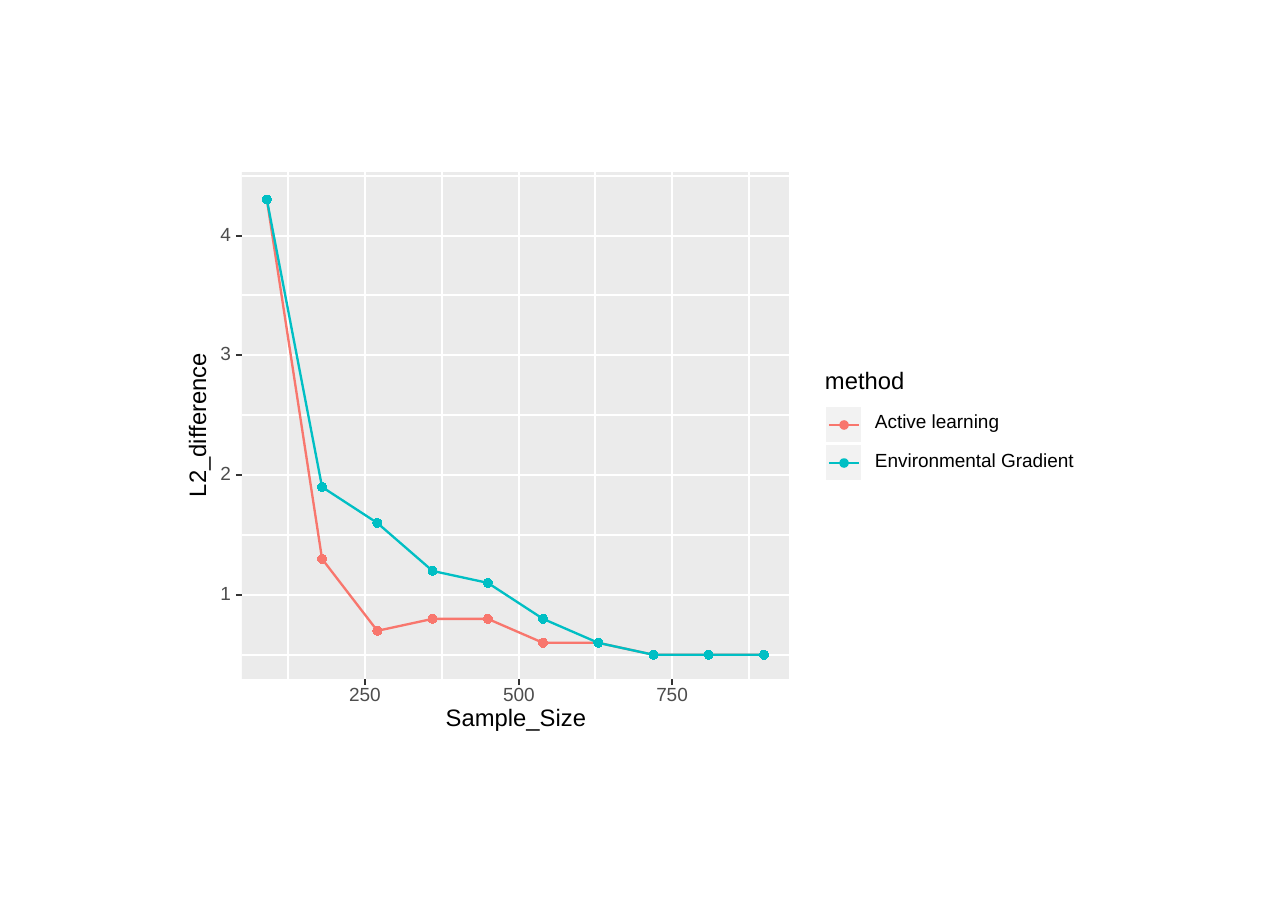
from dataclasses import dataclass

from lxml import etree
from pptx import Presentation
from pptx import util as u
from pptx.chart.data import XyChartData
from pptx.dml.color import RGBColor
from pptx.enum import chart as charts
from pptx.enum import shapes, text
from pptx.oxml import parse_xml
from pptx.oxml.ns import nsdecls, qn

EMU_PER_PX = 5873
FONT = "Arial"
TICK_SIZE, TITLE_SIZE = 8.8, 11
MINOR_WIDTH, LINE_WIDTH, DOT_LINE = 0.53, 1.07, 0.71
COLORS = {
    "panel": "EBEBEB", "grid": "FFFFFF", "tick": "333333",
    "tick_text": "4D4D4D", "text": "000000", "key": "F2F2F2",
    "active": "F8766D", "gradient": "00BFC4",
}


@dataclass
class Axis:
    low: float
    high: float
    start: int  # px position of the low end
    end: int  # px position of the high end
    major: list[int]
    minor: list[float]

    def position(self, value: float) -> int:
        share = (value - self.low) / (self.high - self.low)
        return round(self.start + share * (self.end - self.start))


@dataclass
class Method:
    name: str
    color: str
    differences: list[float]


LEFT, TOP, RIGHT, BOTTOM = 242, 172, 789, 679
X_AXIS = Axis(49.5, 940.5, LEFT, RIGHT, [250, 500, 750], [125, 375, 625, 875])
Y_AXIS = Axis(0.3, 4.53, BOTTOM, TOP, [1, 2, 3, 4], [0.5, 1.5, 2.5, 3.5, 4.5])
SAMPLE_SIZES = range(90, 901, 90)
METHODS = [
    Method("Active learning", "active",
           [4.3, 1.3, 0.7, 0.8, 0.8, 0.6, 0.6, 0.5, 0.5, 0.5]),
    Method("Environmental Gradient", "gradient",
           [4.3, 1.9, 1.6, 1.2, 1.1, 0.8, 0.6, 0.5, 0.5, 0.5]),
]


def px(length: int) -> u.Emu:
    return u.Emu(length * EMU_PER_PX)


def rgb(name: str) -> RGBColor:
    return RGBColor.from_string(COLORS[name])


def add_line(slide, x1: int, y1: int, x2: int, y2: int,
             color: str, width: float = LINE_WIDTH) -> None:
    line = slide.shapes.add_connector(
        shapes.MSO_CONNECTOR.STRAIGHT, px(x1), px(y1), px(x2), px(y2))
    line.line.color.rgb = rgb(color)
    line.line.width = u.Pt(width)
    etree.SubElement(line._element.spPr, qn("a:effectLst"))


def add_box(slide, kind, left: int, top: int, width: int, height: int,
            fill: str, line: str = "", line_width: float = LINE_WIDTH) -> None:
    shape = slide.shapes.add_shape(kind, px(left), px(top), px(width), px(height))
    shape.shadow.inherit = False
    shape.fill.solid()
    shape.fill.fore_color.rgb = rgb(fill)
    if line:
        shape.line.color.rgb = rgb(line)
        shape.line.width = u.Pt(line_width)
    else:
        shape.line.fill.background()


def add_label(slide, words: str, left: int, middle: int, width: int, size: float,
              color: str = "text", align=text.PP_ALIGN.LEFT, rotation: int = 0) -> None:
    height = 16
    box = slide.shapes.add_textbox(
        px(left), px(middle - height // 2), px(width), px(height))
    box.rotation = rotation
    frame = box.text_frame
    frame.word_wrap = True
    frame.vertical_anchor = text.MSO_ANCHOR.MIDDLE
    frame.margin_left = frame.margin_right = frame.margin_top = frame.margin_bottom = 0
    frame.text = words
    paragraph = frame.paragraphs[0]
    paragraph.alignment = align
    paragraph.line_spacing = u.Pt(size)
    font = paragraph.runs[0].font
    font.name, font.size = FONT, u.Pt(size)
    font.color.rgb = rgb(color)


def add_grid(slide) -> None:
    add_box(slide, shapes.MSO_SHAPE.RECTANGLE, LEFT, TOP,
            RIGHT - LEFT, BOTTOM - TOP, "panel")
    for level, width in (("minor", MINOR_WIDTH), ("major", LINE_WIDTH)):
        for value in getattr(Y_AXIS, level):
            y = Y_AXIS.position(value)
            add_line(slide, LEFT, y, RIGHT, y, "grid", width)
        for value in getattr(X_AXIS, level):
            x = X_AXIS.position(value)
            add_line(slide, x, BOTTOM, x, TOP, "grid", width)


def add_curves(slide) -> None:
    # The first series is drawn in front, so the gradient leads
    stacked = METHODS[::-1]
    data = XyChartData(number_format="0.0")
    for method in stacked:
        series = data.add_series(method.name)
        for size, difference in zip(SAMPLE_SIZES, method.differences):
            series.add_data_point(size, difference)
    chart = slide.shapes.add_chart(
        charts.XL_CHART_TYPE.XY_SCATTER_LINES, px(LEFT), px(TOP),
        px(RIGHT - LEFT), px(BOTTOM - TOP), data).chart
    chart.has_legend = chart.has_title = False
    chart.font.name, chart.font.size = FONT, u.Pt(TICK_SIZE)
    chart.plots[0].vary_by_categories = False

    for axis, scale in ((chart.category_axis, X_AXIS), (chart.value_axis, Y_AXIS)):
        axis.minimum_scale, axis.maximum_scale = scale.low, scale.high
        axis.has_major_gridlines = axis.has_minor_gridlines = False
        axis.visible = False

    for series, method in zip(chart.plots[0].series, stacked):
        series.smooth = False
        series.format.line.color.rgb = rgb(method.color)
        series.format.line.width = u.Pt(LINE_WIDTH)
        marker = series.marker
        marker.style, marker.size = charts.XL_MARKER_STYLE.CIRCLE, 4
        marker.format.fill.solid()
        marker.format.fill.fore_color.rgb = rgb(method.color)
        marker.format.line.fill.background()

    # Let the plot fill its frame, with the panel showing through
    space = chart._chartSpace
    plot_area = space.chart.plotArea
    for layout in plot_area.findall(qn("c:layout")):
        plot_area.remove(layout)
    plot_area.insert(0, parse_xml(
        f'<c:layout {nsdecls("c")}><c:manualLayout><c:layoutTarget val="inner"/>'
        '<c:xMode val="edge"/><c:yMode val="edge"/><c:x val="0"/><c:y val="0"/>'
        '<c:w val="1"/><c:h val="1"/></c:manualLayout></c:layout>'))
    clear = (f'<c:spPr {nsdecls("c", "a")}><a:noFill/>'
             '<a:ln><a:noFill/></a:ln></c:spPr>')
    plot_area.append(parse_xml(clear))
    space.chart.addnext(parse_xml(clear))


def add_axes(slide) -> None:
    tick = 6
    for value in Y_AXIS.major:
        y = Y_AXIS.position(value)
        add_line(slide, LEFT - tick, y, LEFT, y, "tick")
        add_label(slide, str(value), 201, y, 30, TICK_SIZE,
                  "tick_text", text.PP_ALIGN.RIGHT)
    for value in X_AXIS.major:
        x = X_AXIS.position(value)
        add_line(slide, x, BOTTOM + tick, x, BOTTOM, "tick")
        add_label(slide, str(value), x - 30, 696, 60, TICK_SIZE,
                  "tick_text", text.PP_ALIGN.CENTER)
    add_label(slide, "Sample_Size", 426, 719, 180, TITLE_SIZE,
              align=text.PP_ALIGN.CENTER)
    add_label(slide, "L2_difference", 109, 425, 180, TITLE_SIZE,
              align=text.PP_ALIGN.CENTER, rotation=270)


def add_legend(slide) -> None:
    left, top, key, dot = 825, 406, 37, 8
    add_label(slide, "method", left, 382, 120, TITLE_SIZE)
    for row, method in enumerate(METHODS):
        key_top = top + row * (key + 1)
        x, y = left + key // 2 + 1, key_top + key // 2 + 1
        add_box(slide, shapes.MSO_SHAPE.RECTANGLE, left, key_top, key, key, "key", "grid")
        add_box(slide, shapes.MSO_SHAPE.OVAL, x - dot // 2, y - dot // 2, dot, dot,
                method.color, method.color, DOT_LINE)
        add_line(slide, x - 15, y, x + 15, y, method.color)
        add_label(slide, method.name, 875, 423 + row * 39, 230, TICK_SIZE)


def main() -> None:
    presentation = Presentation()
    presentation.slide_width, presentation.slide_height = px(1288), px(908)
    slide = presentation.slides.add_slide(presentation.slide_layouts[6])
    add_grid(slide)
    add_curves(slide)
    add_axes(slide)
    add_legend(slide)
    presentation.save("out.pptx")


if __name__ == "__main__":
    main()
